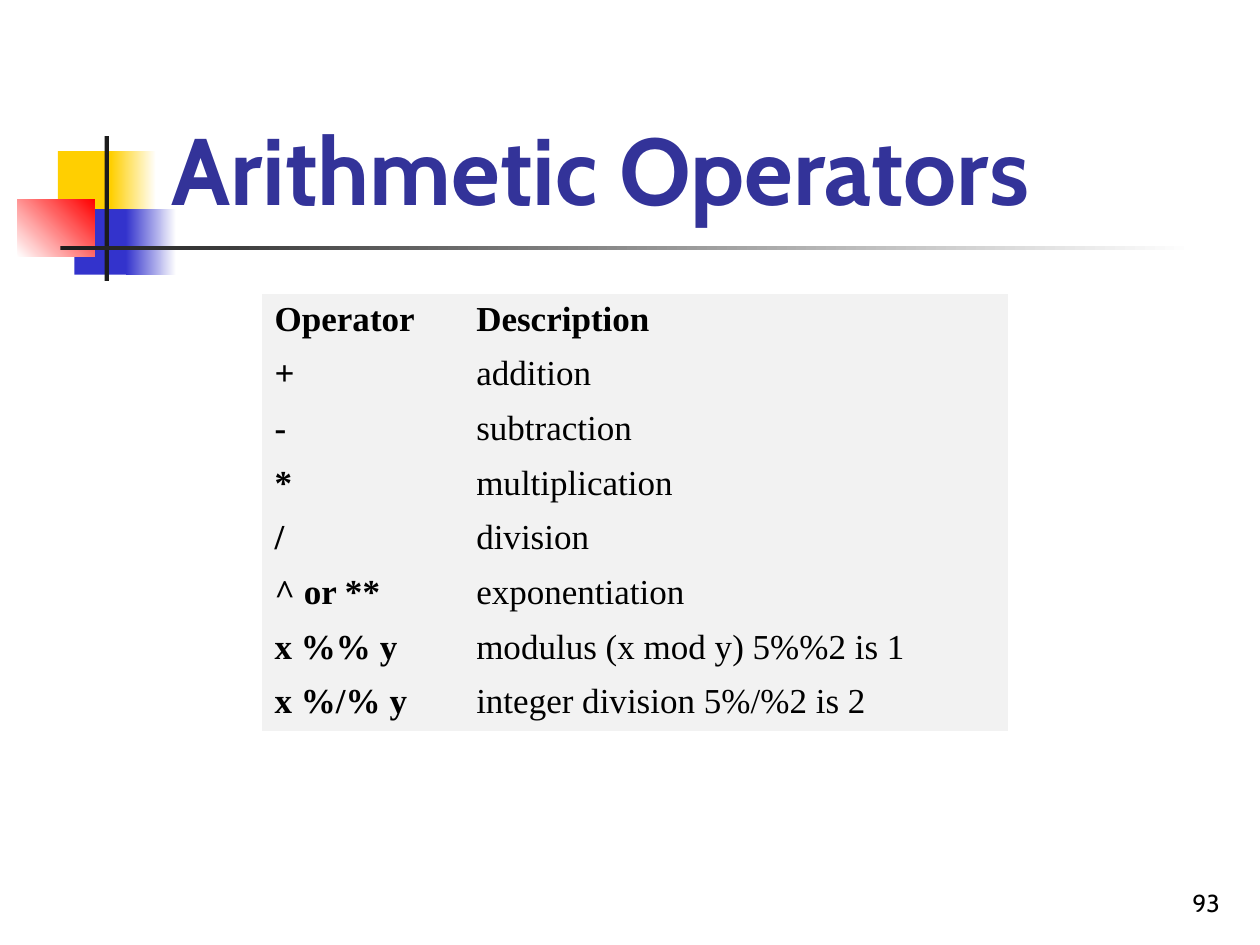
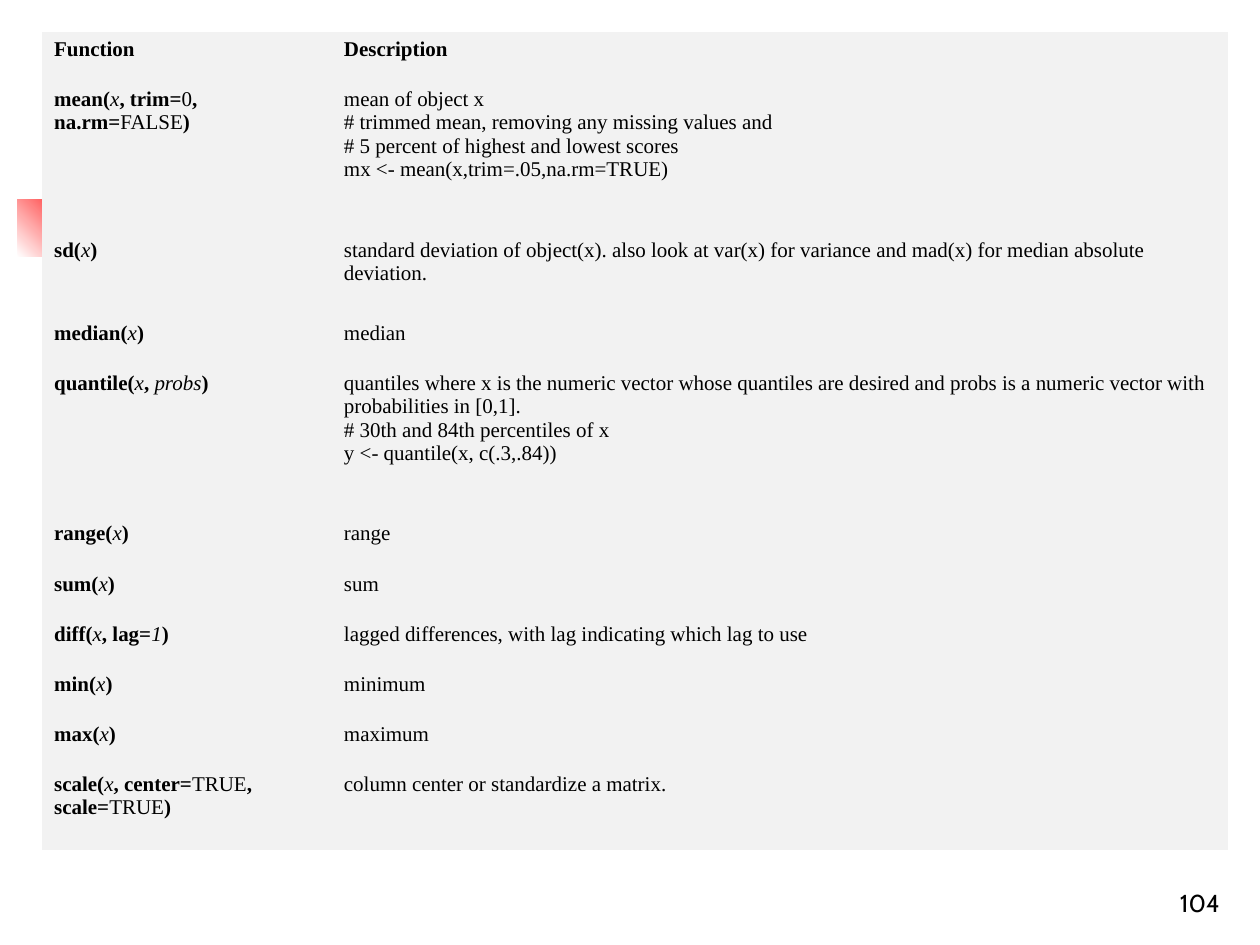
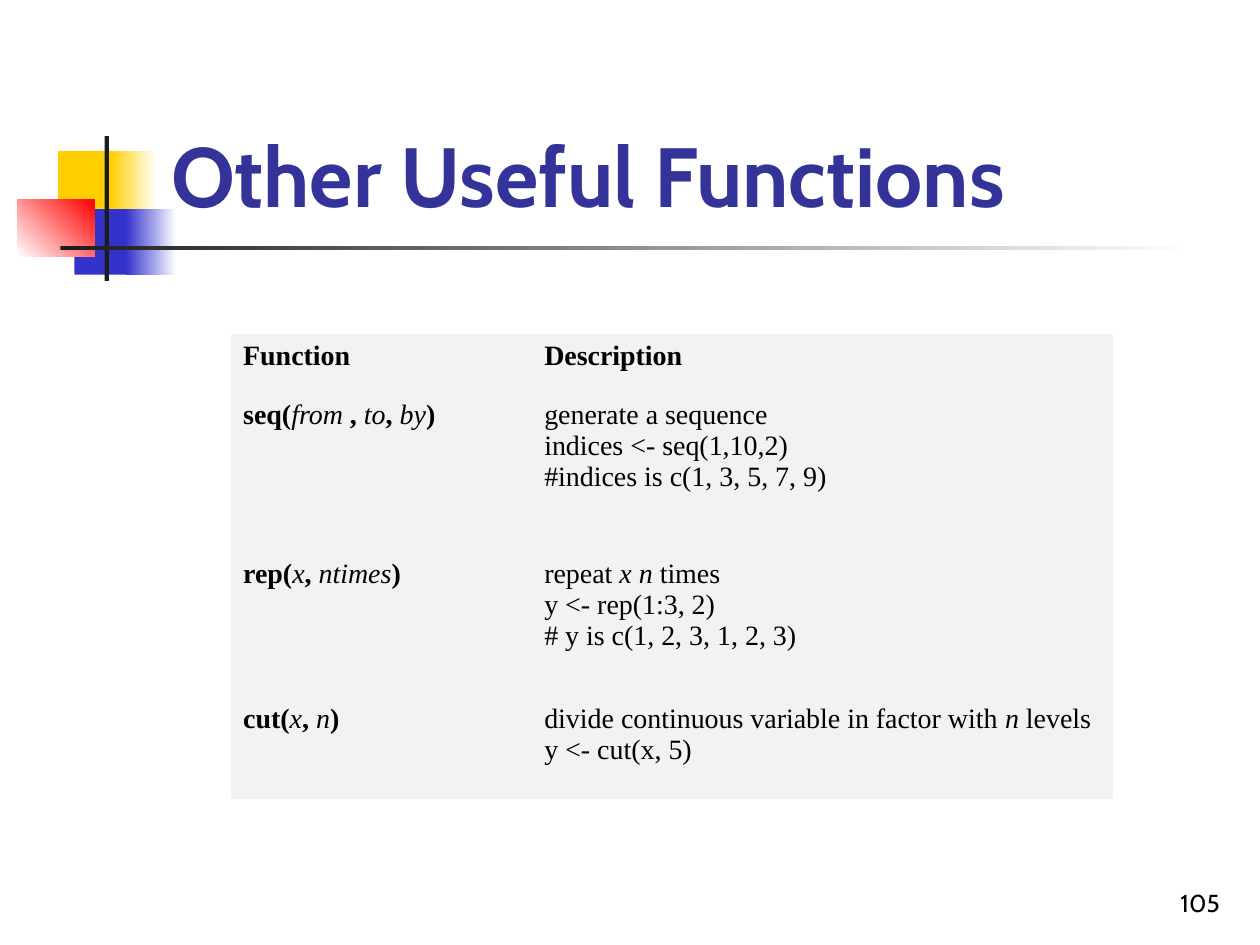
from pptx import Presentation
from pptx.dml.color import RGBColor
from pptx.enum.shapes import MSO_SHAPE as Shape
from pptx.enum.text import MSO_ANCHOR as Anchor, MSO_AUTO_SIZE as Fit, PP_ALIGN as Align
from pptx.util import Inches, Pt

# Grid: 100 columns by 75 rows on a 10 by 7.5 inch slide
COLS, ROWS = 100, 75
NO_STYLE = "{2D5ABB26-0587-4C30-8999-92F81FD0307C}"

# Corner blocks and rules: place, first colour, last colour, angle
MOTIF = [
    ((4.6, 12, 4.8, 5.2), "FFCF01", None, 0),
    ((8.8, 12, 3.6, 5.2), "FFCF01", "FFFFFF", 0),
    ((5.9, 16.6, 4.6, 5.2), "3333CC", None, 0),
    ((10, 16.6, 4, 5.2), "3333CC", "FFFFFF", 0),
    ((1.4, 15.8, 6.1, 4.6), "FFFFFF", "FF0000", 45),
    ((8.3, 10.8, 0.35, 11.5), "1C1C1C", None, 0),
    ((4.8, 19.5, 90, 0.35), "1C1C1C", "FFFFFF", 0),
]

# Cell text: _italic_ and ~plain~ parts, the rest takes the cell's weight
MATH = [
    ("Operator", "Description"),
    ("+", "addition"),
    ("-", "subtraction"),
    ("*", "multiplication"),
    ("/", "division"),
    ("^ or **", "exponentiation"),
    ("x %% y", "modulus (x mod y) 5%%2 is 1"),
    ("x %/% y", "integer division 5%/%2 is 2"),
]
STATS = [
    ("Function", "Description"),
    ("mean(_x_, trim=~0~,\nna.rm=~FALSE~)",
     "mean of object x\n# trimmed mean, removing any missing values and\n"
     "# 5 percent of highest and lowest scores\nmx <- mean(x,trim=.05,na.rm=TRUE)"),
    ("sd(_x_)", "standard deviation of object(x). also look at var(x) for variance "
     "and mad(x) for median absolute deviation."),
    ("median(_x_)", "median"),
    ("quantile(_x_, _probs_)",
     "quantiles where x is the numeric vector whose quantiles are desired and probs "
     "is a numeric vector with probabilities in [0,1].\n"
     "# 30th and 84th percentiles of x\ny <- quantile(x, c(.3,.84))"),
    ("range(_x_)", "range"),
    ("sum(_x_)", "sum"),
    ("diff(_x_, lag=_1_)", "lagged differences, with lag indicating which lag to use"),
    ("min(_x_)", "minimum"),
    ("max(_x_)", "maximum"),
    ("scale(_x_, center=~TRUE~, scale=~TRUE~)", "column center or standardize a matrix."),
]
OTHER = [
    ("Function", "Description"),
    ("seq(_from_ ,_ to_,_ by_)",
     "generate a sequence\nindices <- seq(1,10,2)\n#indices is c(1, 3, 5, 7, 9)"),
    ("rep(_x_, _ntimes_)",
     "repeat _x n_ times\ny <- rep(1:3, 2)\n# y is c(1, 2, 3, 1, 2, 3)"),
    ("cut(_x_,_ n_)",
     "divide continuous variable in factor with _n_ levels\ny <- cut(x, 5)"),
]


def tint(code):
    return RGBColor.from_string(code)


def write(frame, text, size=14, font="Cabin", color="000000", bold=False, align=Align.LEFT):
    para = frame.paragraphs[0]
    para.alignment = align
    for i, part in enumerate(text.split("_")):
        for j, piece in enumerate(part.split("~")):
            for k, line in enumerate(piece.split("\n")):
                if k:
                    para.add_line_break()
                if not line:
                    continue
                run = para.add_run()
                run.text = line
                face = run.font
                face.name, face.size = font, Pt(size)
                face.color.rgb = tint(color)
                face.italic = i % 2 == 1
                face.bold = bold and i % 2 == 0 and j % 2 == 0


class Deck:
    def __init__(self):
        self.show = Presentation()
        self.show.slide_width, self.show.slide_height = Inches(10), Inches(7.5)
        self.slide = None

    def across(self, n):
        return round(self.show.slide_width * n / COLS)

    def down(self, n):
        return round(self.show.slide_height * n / ROWS)

    def box(self, x, y, w, h):
        return self.across(x), self.down(y), self.across(w), self.down(h)

    def block(self, place, first, last, angle):
        shape = self.slide.shapes.add_shape(Shape.RECTANGLE, *self.box(*place))
        shape.shadow.inherit = False
        shape.line.fill.background()
        if last:
            shape.fill.gradient()
            shape.fill.gradient_angle = angle
            for stop, code in zip(shape.fill.gradient_stops, (first, last)):
                stop.color.rgb = tint(code)
        else:
            shape.fill.solid()
            shape.fill.fore_color.rgb = tint(first)
        return shape

    def motif(self):
        # Drawn on the current slide, then moved to the master
        blocks = [self.block(*item) for item in MOTIF]
        tree = self.show.slide_master.shapes.element
        for n, shape in enumerate(blocks, 100):
            shape.element.nvSpPr.cNvPr.id = n
            tree.append(shape.element)

    def page(self, number, title=None, size=54):
        self.slide = self.show.slides.add_slide(self.show.slide_layouts[5])
        head = self.slide.shapes.title
        if title:
            head.left, head.top, head.width, head.height = self.box(12.6, 2.3, 85.2, 16)
            frame = head.text_frame
            frame.auto_size, frame.vertical_anchor = Fit.NONE, Anchor.BOTTOM
            write(frame, title, size=size, color="333399", bold=True)
        else:
            head.element.getparent().remove(head.element)
        frame = self.slide.shapes.add_textbox(*self.box(77, 68.3, 20.8, 5)).text_frame
        frame.word_wrap, frame.vertical_anchor = True, Anchor.BOTTOM
        write(frame, str(number), align=Align.RIGHT)

    def table(self, x, y, wide, tall, data, size):
        place = self.box(x, y, sum(wide), sum(tall))
        frame = self.slide.shapes.add_table(len(tall), len(wide), *place)
        frame.element.xpath(".//a:tableStyleId")[0].text = NO_STYLE
        grid = frame.table
        grid.first_row = grid.horz_banding = False
        for col, w in zip(grid.columns, wide):
            col.width = self.across(w)
        for r, (row, h) in enumerate(zip(grid.rows, tall)):
            row.height = self.down(h)
            for c, cell in enumerate(row.cells):
                cell.fill.solid()
                cell.fill.fore_color.rgb = tint("F2F2F2")
                write(cell.text_frame, data[r][c], size=size, font="Times New Roman",
                      bold=r == 0 or c == 0)


def main():
    deck = Deck()

    # Arithmetic operators
    deck.page(93, "Arithmetic Operators")
    deck.motif()
    deck.table(20.8, 23.3, (16, 43.2), [4.34] * len(MATH), MATH, 20)

    # Statistical functions
    deck.page(104)
    one, two, four = 3.98, 6.6, 11.95
    tall = [one, four, two, one, four] + [one] * 5 + [two]
    deck.table(3.3, 2.5, (23, 71.2), tall, STATS, 12)

    # Other functions
    deck.page(105, "Other Useful Functions", size=48)
    deck.table(18.3, 26.5, (23.9, 46.1), (4.7, 12.6, 11.5, 8.1), OTHER, 16)

    deck.show.save("out.pptx")


if __name__ == "__main__":
    main()
